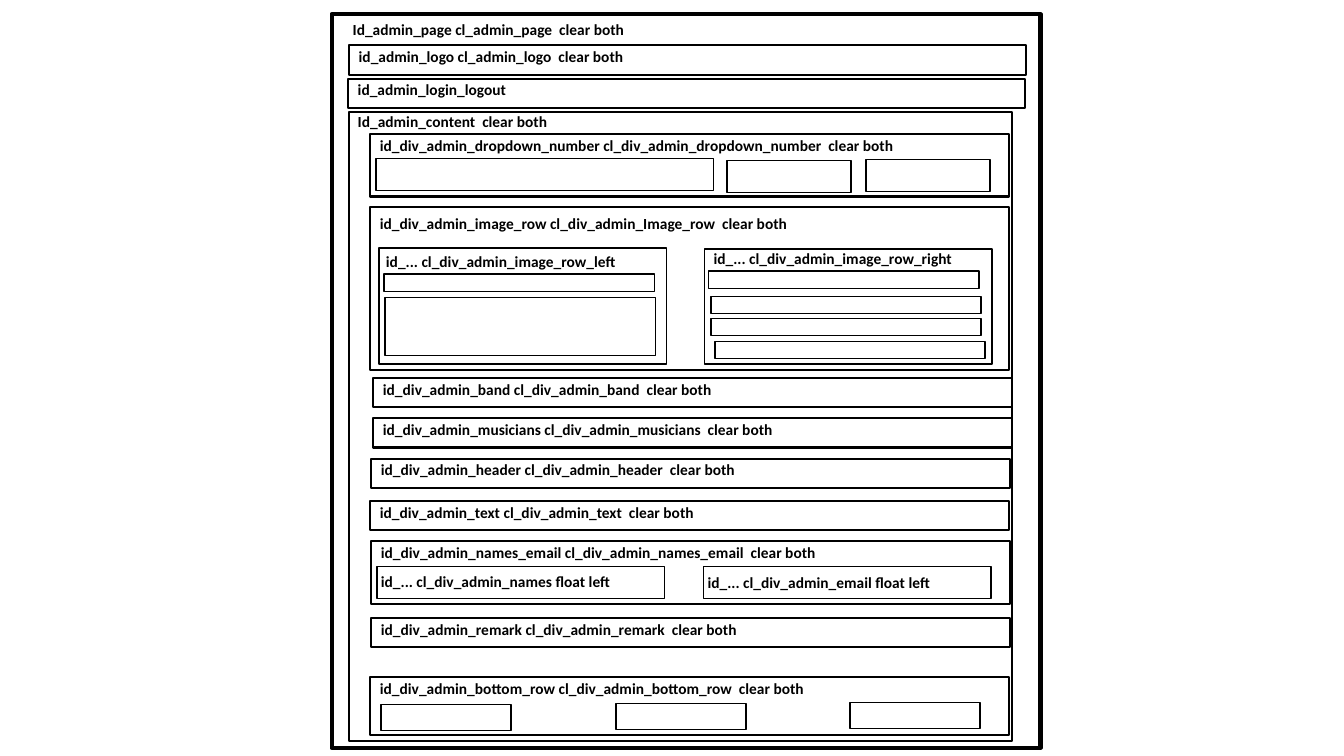
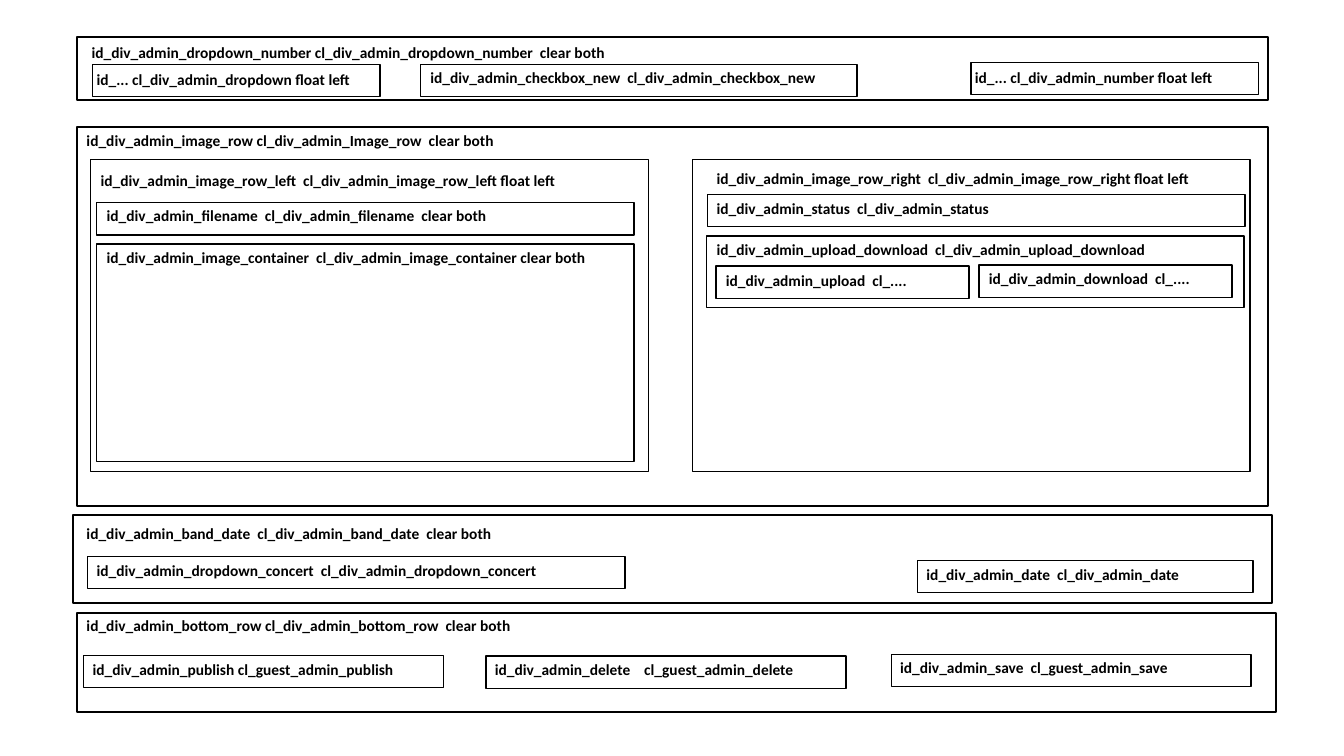
from dataclasses import dataclass

from pptx import Presentation
from pptx.dml.color import RGBColor
from pptx.enum.shapes import MSO_SHAPE
from pptx.enum.text import MSO_AUTO_SIZE, PP_ALIGN
from pptx.util import Inches, Pt


@dataclass(frozen=True)
class Theme:
    ink: RGBColor = RGBColor(0, 0, 0)
    paper: RGBColor = RGBColor(255, 255, 255)
    font: str = "Calibri"
    label_size: float = 11
    page_line: float = 3
    section_line: float = 1.5
    field_line: float = 1


THEME = Theme()
LABEL_HEIGHT = 0.29
LABEL_WIDTH = 4.74
WIDE_LABEL = 5.94
ROW_HEIGHT = 0.29
FIELD_HEIGHT = 0.32
IMAGE_ROW = "id_div_admin_image_row cl_div_admin_Image_row  clear both"


def clear_both(part):
    """Label of a section that starts a new row."""
    return f"id_div_admin_{part} cl_div_admin_{part}  clear both"


def id_and_class(part, suffix=""):
    """Label of a nested element, with two spaces between id and class."""
    return f"id_div_admin_{part}  cl_div_admin_{part}{suffix}"


def float_left(part):
    return f"id_... cl_div_admin_{part} float left"


class Wireframe:
    def __init__(self, theme):
        self.theme = theme
        self.deck = Presentation()
        self.deck.slide_width = Inches(13.33)
        self.deck.slide_height = Inches(7.5)
        self.slide = None

    def new_slide(self):
        self.slide = self.deck.slides.add_slide(self.deck.slide_layouts[6])
        self.slide.background.fill.solid()
        self.slide.background.fill.fore_color.rgb = self.theme.paper

    def frame(self, left, top, width, height, weight):
        outline = self.slide.shapes.add_shape(
            MSO_SHAPE.RECTANGLE,
            Inches(left), Inches(top), Inches(width), Inches(height))
        outline.shadow.inherit = False
        outline.fill.background()
        outline.line.color.rgb = self.theme.ink
        outline.line.width = Pt(weight)

    def field(self, left, top, width, height=FIELD_HEIGHT):
        self.frame(left, top, width, height, self.theme.field_line)

    def label(self, left, top, text, width=LABEL_WIDTH):
        caption = self.slide.shapes.add_textbox(
            Inches(left), Inches(top), Inches(width), Inches(LABEL_HEIGHT))
        text_frame = caption.text_frame
        text_frame.word_wrap = True
        text_frame.auto_size = MSO_AUTO_SIZE.SHAPE_TO_FIT_TEXT
        text_frame.text = text
        paragraph = text_frame.paragraphs[0]
        paragraph.alignment = PP_ALIGN.LEFT
        font = paragraph.runs[0].font
        font.name = self.theme.font
        font.size = Pt(self.theme.label_size)
        font.bold = True
        font.color.rgb = self.theme.ink

    def section(self, box, text, shift=(0, -0.03), label_width=LABEL_WIDTH):
        """Heavy frame; shift moves the label from the frame's corner."""
        left, top, width, height = box
        self.frame(left, top, width, height, self.theme.section_line)
        self.label(left + shift[0], top + shift[1], text, label_width)

    def named_field(self, box, text, shift=(0, -0.01), label_width=5):
        """Thin frame; shift moves the label from the frame's corner."""
        left, top, width, height = box
        self.field(left, top, width, height)
        self.label(left + shift[0], top + shift[1], text, label_width)


def build_page_overview(wire):
    wire.new_slide()
    wire.frame(3.29, 0.14, 7.03, 7.28, wire.theme.page_line)
    wire.label(3.4, 0.15, "Id_admin_page cl_admin_page  clear both")
    wire.section((3.46, 0.45, 6.72, ROW_HEIGHT),
                 "id_admin_logo cl_admin_logo  clear both")
    wire.section((3.45, 0.78, 6.72, ROW_HEIGHT), "id_admin_login_logout")
    wire.section((3.46, 1.11, 6.58, 6.24),
                 "Id_admin_content  clear both", (-0.01, -0.05))

    section_width = 6.34
    wire.section((3.67, 1.33, section_width, 0.62),
                 clear_both("dropdown_number"), label_width=WIDE_LABEL)
    for left, top, width in [(3.73, 1.57, 3.35), (7.21, 1.59, 1.23),
                             (8.59, 1.58, 1.23)]:
        wire.field(left, top, width)

    wire.section((3.67, 2.05, section_width, 1.62), IMAGE_ROW,
                 (0, 0.02), WIDE_LABEL)
    wire.named_field((3.76, 2.46, 2.85, 1.15),
                     "id_... cl_div_admin_image_row_left", (-0.03, -0.01), 3)
    wire.named_field((6.99, 2.47, 2.85, 1.14),
                     "id_... cl_div_admin_image_row_right", (-0.01, -0.05), 3)
    strip_height = 0.17
    for left, top, height in [(3.81, 2.72, strip_height), (3.82, 2.95, 0.58),
                              (7.03, 2.69, strip_height),
                              (7.05, 2.94, strip_height),
                              (7.05, 3.16, strip_height),
                              (7.09, 3.39, strip_height)]:
        wire.field(left, top, 2.68, height)

    for part, left, top in [("band", 3.7, 3.75), ("musicians", 3.7, 4.15),
                            ("header", 3.68, 4.55), ("text", 3.67, 4.97),
                            ("remark", 3.68, 6.13)]:
        wire.section((left, top, section_width, ROW_HEIGHT), clear_both(part))

    wire.section((3.68, 5.37, section_width, 0.62), clear_both("names_email"),
                 label_width=WIDE_LABEL)
    for part, left, drop in [("names", 3.74, 0.01), ("email", 6.98, 0.02)]:
        wire.named_field((left, 5.62, 2.85, FIELD_HEIGHT), float_left(part),
                         (-0.06, drop), 3)

    wire.section((3.67, 6.72, section_width, 0.57), clear_both("bottom_row"))
    for left, top in [(3.78, 6.99), (6.11, 6.98), (8.43, 6.97)]:
        wire.field(left, top, 1.29, 0.26)


def build_row_details(wire):
    wire.new_slide()
    wire.section((0.76, 0.37, 11.82, 0.62), clear_both("dropdown_number"),
                 (0.05, 0.01), WIDE_LABEL)
    for part, left, top in [("dropdown", 0.92, 0.64), ("number", 9.63, 0.62)]:
        wire.named_field((left, top, 2.85, FIELD_HEIGHT), float_left(part),
                         (-0.06, 0.01), 3)
    wire.named_field((4.17, 0.64, 4.33, FIELD_HEIGHT),
                     id_and_class("checkbox_new"), label_width=4.12)

    wire.section((0.76, 1.26, 11.82, 3.76), IMAGE_ROW, (0, -0.01), WIDE_LABEL)
    for side, left, shift in [("left", 0.9, (0, 0.07)),
                              ("right", 6.87, (0.14, 0.05))]:
        wire.named_field((left, 1.58, 5.53, 3.1),
                         id_and_class(f"image_row_{side}", " float left"),
                         shift, 5.16)

    inner_width = 5.33
    wire.named_field((0.96, 2.01, inner_width, FIELD_HEIGHT),
                     id_and_class("filename", "  clear both"))
    wire.named_field((0.96, 2.42, inner_width, 2.16),
                     id_and_class("image_container", " clear both"),
                     label_width=5.47)
    wire.named_field((7.02, 1.93, inner_width, FIELD_HEIGHT),
                     id_and_class("status"), (-0.01, 0))
    wire.named_field((7.01, 2.34, inner_width, 0.71),
                     id_and_class("upload_download"))
    for part, left, top, rise in [("upload", 7.1, 2.64, 0),
                                  ("download", 9.71, 2.63, -0.01)]:
        wire.named_field((left, top, 2.51, FIELD_HEIGHT),
                         f"id_div_admin_{part}  cl_....", (0, rise), 2.61)

    wire.section((0.72, 5.11, 11.9, 0.87),
                 id_and_class("band_date", "  clear both"), (0.04, 0.04))
    for part, left, top, width in [
            ("dropdown_concert", 0.87, 5.52, inner_width),
            ("date", 9.1, 5.56, 3.33)]:
        wire.named_field((left, top, width, FIELD_HEIGHT), id_and_class(part),
                         (-0.01, 0), width - 0.11)

    wire.section((0.76, 6.08, 11.9, 0.98), clear_both("bottom_row"),
                 (0, -0.02))
    button_width = 3.57
    for text, left, top, rise in [
            ("id_div_admin_publish cl_guest_admin_publish", 0.83, 6.5, 0),
            ("id_div_admin_delete    cl_guest_admin_delete", 4.82, 6.51, -0.01),
            ("id_div_admin_save  cl_guest_admin_save", 8.84, 6.49, -0.01)]:
        wire.named_field((left, top, button_width, FIELD_HEIGHT), text,
                         (-0.01, rise), button_width)


def main():
    wire = Wireframe(THEME)
    build_page_overview(wire)
    build_row_details(wire)
    wire.deck.save("out.pptx")


if __name__ == "__main__":
    main()
